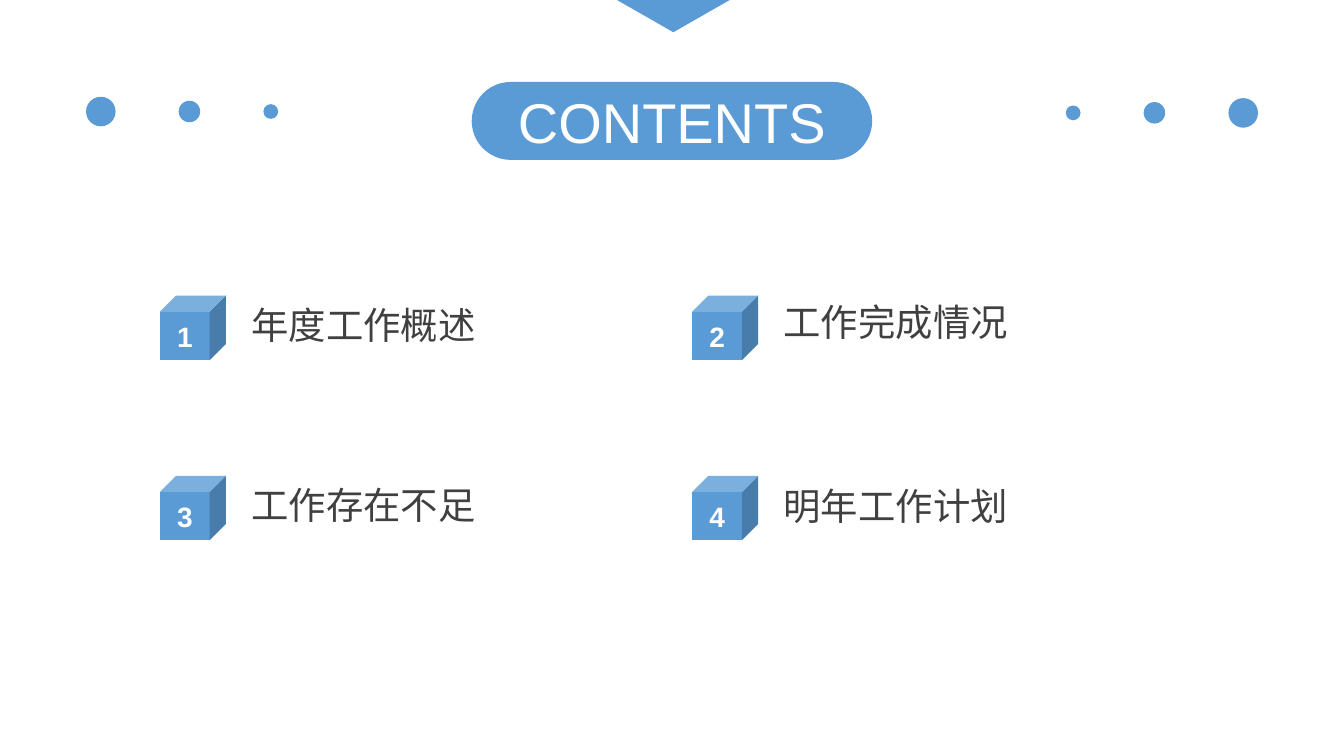
from dataclasses import dataclass

from pptx import Presentation
from pptx.dml.color import RGBColor
from pptx.enum.shapes import MSO_SHAPE as SHAPE
from pptx.enum.text import MSO_ANCHOR as ANCHOR, PP_ALIGN as ALIGN
from pptx.util import Inches, Pt


@dataclass(frozen=True)
class Theme:
    font: str = "Arial"
    accent: RGBColor = RGBColor(0x5B, 0x9B, 0xD5)
    light: RGBColor = RGBColor(0xFF, 0xFF, 0xFF)
    dark: RGBColor = RGBColor(0x40, 0x40, 0x40)
    title_size: Pt = Pt(30)
    label_size: Pt = Pt(20)
    number_size: Pt = Pt(15)


THEME = Theme()
WIDTH = 10
HEIGHT = WIDTH * 9 / 16
DOTS = [(0.64, 0.22), (1.33, 0.16), (1.96, 0.11)]
COLUMNS = [(1.19, 1.87, 2.9), (5.15, 5.83, 3.19)]
ROWS = [2.2, 3.54]
ITEMS = [("年度工作概述", 2.17), ("工作完成情况", 2.15),
         ("工作存在不足", 3.51), ("明年工作计划", 3.52)]


def paint(sp):
    sp.shadow.inherit = False
    sp.fill.solid()
    sp.fill.fore_color.rgb = THEME.accent
    sp.line.fill.background()
    return sp


def add_solid(slide, kind, *box):
    return paint(slide.shapes.add_shape(kind, *map(Inches, box)))


def write(sp, text, size, color, align, bold=False, inset=0.0):
    tf = sp.text_frame
    tf.word_wrap = True
    tf.vertical_anchor = ANCHOR.MIDDLE
    tf.margin_left = tf.margin_right = Inches(inset)
    tf.margin_top = tf.margin_bottom = 0
    p = tf.paragraphs[0]
    p.alignment = align
    r = p.add_run()
    r.text = text
    r.font.name, r.font.size, r.font.bold = THEME.font, size, bold
    r.font.color.rgb = color
    return p


def add_dots(slide):
    for x, d in DOTS:
        for left, middle in ((x, 0.83), (WIDTH - x - d, 0.84)):
            add_solid(slide, SHAPE.OVAL, left, middle - d / 2, d, d)


def add_pointer(slide):
    builder = slide.shapes.build_freeform(Inches(4.59), 0)
    builder.add_line_segments(
        [(Inches(5.43), 0), (Inches(5.01), Inches(0.24))], close=True)
    paint(builder.convert_to_shape())


def add_title(slide, text):
    box = (3.51, 0.61, 2.98, 0.58)
    pill = add_solid(slide, SHAPE.ROUNDED_RECTANGLE, *box)
    pill.adjustments[0] = 0.5
    title = slide.shapes.title
    title.left, title.top, title.width, title.height = map(Inches, box)
    p = write(title, text, THEME.title_size, THEME.light, ALIGN.CENTER, inset=0.1)
    p.line_spacing = 1.0
    p.space_before = Pt(0)
    slide.shapes._spTree.append(title._element)


def add_item(slide, index, text, label_top):
    row, column = divmod(index, len(COLUMNS))
    cube_left, label_left, label_width = COLUMNS[column]
    cube = add_solid(slide, SHAPE.CUBE, cube_left, ROWS[row], 0.49, 0.48)
    write(cube, str(index + 1), THEME.number_size, THEME.light, ALIGN.CENTER, bold=True)
    label = slide.shapes.add_textbox(
        *map(Inches, (label_left, label_top, label_width, 0.53)))
    p = write(label, text, THEME.label_size, THEME.dark, ALIGN.LEFT)
    p.line_spacing = 0.9


def main():
    """Build the contents slide and save it."""
    prs = Presentation()
    prs.slide_width, prs.slide_height = Inches(WIDTH), Inches(HEIGHT)
    slide = prs.slides.add_slide(prs.slide_layouts[5])
    add_dots(slide)
    for index, (text, label_top) in enumerate(ITEMS):
        add_item(slide, index, text, label_top)
    add_title(slide, "CONTENTS")
    add_pointer(slide)
    prs.save("out.pptx")


if __name__ == "__main__":
    main()
